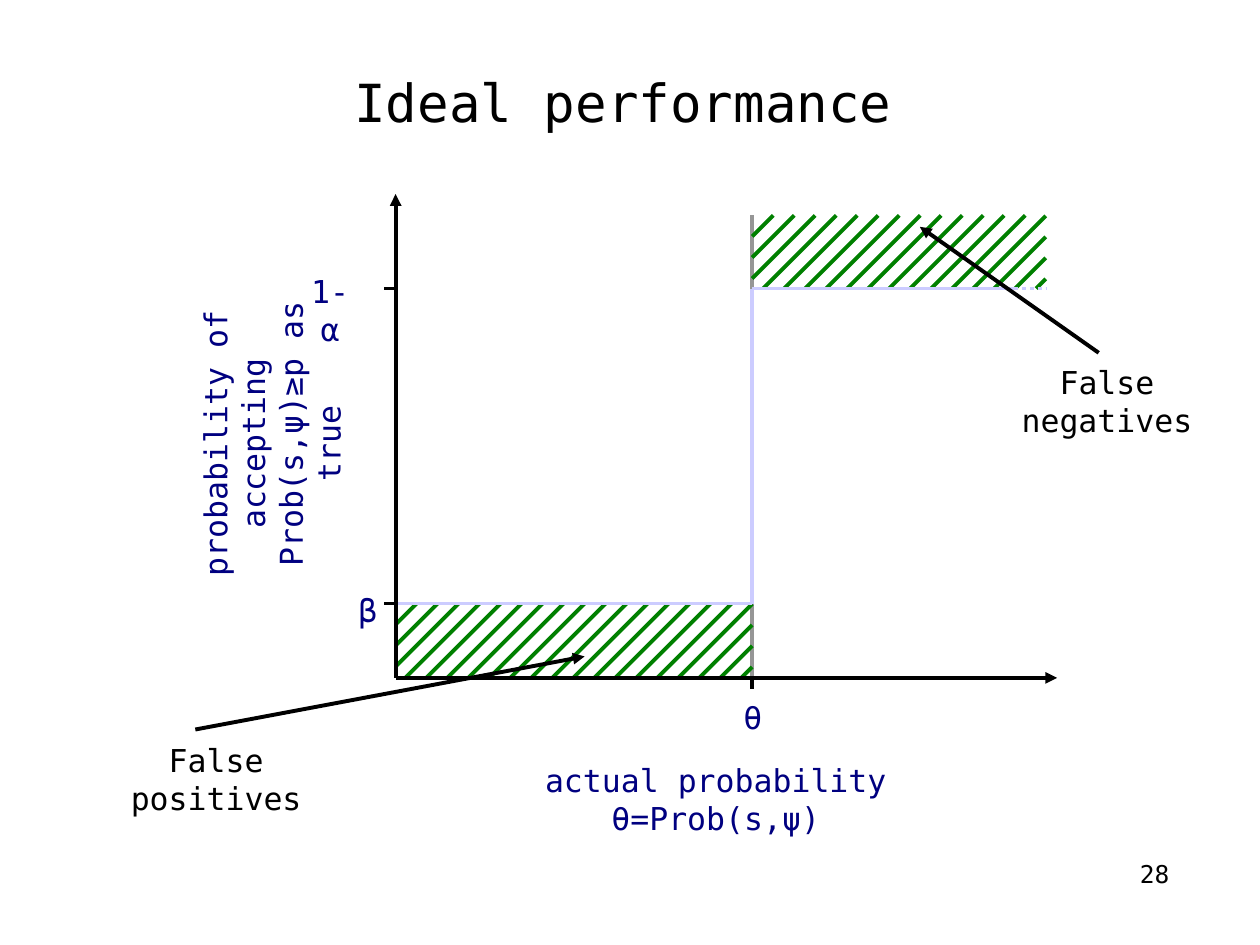
from lxml.etree import SubElement
from pptx import Presentation
from pptx.dml.color import RGBColor
from pptx.enum.dml import MSO_LINE
from pptx.enum.shapes import MSO_CONNECTOR
from pptx.enum.text import MSO_ANCHOR, PP_ALIGN
from pptx.oxml.ns import qn
from pptx.util import Inches, Pt

COLORS = {
    "ink": "000000",
    "label": "000080",
    "hatch": "008000",
    "step": "CCCCFF",
    "threshold": "969696",
}
FONT = "DejaVu Sans Mono"
HATCHES_PER_INCH = 6

ORIGIN_X, ORIGIN_Y = 3.14, 5.38
THETA_X = 5.97
BETA_Y, ALPHA_Y = 4.79, 2.29
TOP_Y, RIGHT_X = 1.71, 8.3
SOLID_END_X = 8.05
TICK = 0.09


class Diagram:
    """Draws styled text, lines and hatched areas on one slide."""

    def __init__(self, slide):
        self.slide = slide

    def text(self, wording, left, top, width, height, color="label", size=18,
             align=PP_ALIGN.CENTER, anchor=MSO_ANCHOR.TOP, padded=True,
             spacing=None, rotation=0):
        box = self.slide.shapes.add_textbox(
            Inches(left), Inches(top), Inches(width), Inches(height))
        box.rotation = rotation
        frame = box.text_frame
        frame.word_wrap = True
        frame.vertical_anchor = anchor
        frame.margin_left = frame.margin_right = Inches(0.1 if padded else 0)
        frame.margin_top = frame.margin_bottom = Inches(0.05 if padded else 0)
        frame.text = wording
        paragraph = frame.paragraphs[0]
        paragraph.alignment = align
        if spacing:
            paragraph.line_spacing = spacing
        for run in paragraph.runs:
            run.font.name = FONT
            run.font.size = Pt(size)
            run.font.color.rgb = RGBColor.from_string(COLORS[color])

    def line(self, x1, y1, x2, y2, color="ink", dash=None, arrow=False):
        connector = self.slide.shapes.add_connector(
            MSO_CONNECTOR.STRAIGHT,
            Inches(x1), Inches(y1), Inches(x2), Inches(y2))
        connector.line.width = Pt(2.25)
        connector.line.color.rgb = RGBColor.from_string(COLORS[color])
        if dash:
            connector.line.dash_style = dash
        if arrow:
            SubElement(connector.line._get_or_add_ln(), qn("a:tailEnd"),
                       type="triangle")
        SubElement(connector._element.spPr, qn("a:effectLst"))

    def hatch(self, left, top, right, bottom):
        count = int((right - left + bottom - top) * HATCHES_PER_INCH)
        for index in range(1, count + 1):
            diagonal = left + top + index / HATCHES_PER_INCH
            upper_x = min(right, diagonal - top)
            lower_x = max(left, diagonal - bottom)
            self.line(upper_x, diagonal - upper_x,
                      lower_x, diagonal - lower_x, "hatch")


def main():
    presentation = Presentation()
    presentation.slide_width = Inches(10)
    presentation.slide_height = Inches(7.5)
    diagram = Diagram(
        presentation.slides.add_slide(presentation.slide_layouts[6]))

    diagram.text("Ideal performance", 0.68, 0.37, 8.53, 0.86, "ink", 30,
                 anchor=MSO_ANCHOR.MIDDLE, padded=False, spacing=1.04)

    diagram.line(THETA_X, ORIGIN_Y, THETA_X, TOP_Y, "threshold")
    diagram.hatch(THETA_X, TOP_Y, RIGHT_X, ALPHA_Y)
    diagram.hatch(ORIGIN_X, BETA_Y, THETA_X, ORIGIN_Y)

    diagram.line(ORIGIN_X, BETA_Y, THETA_X, BETA_Y, "step")
    diagram.line(THETA_X, BETA_Y, THETA_X, ALPHA_Y, "step")
    diagram.line(THETA_X, ALPHA_Y, SOLID_END_X, ALPHA_Y, "step")
    diagram.line(SOLID_END_X, ALPHA_Y, RIGHT_X, ALPHA_Y, "step",
                 dash=MSO_LINE.ROUND_DOT)

    diagram.line(ORIGIN_X, ORIGIN_Y, 8.39, ORIGIN_Y, arrow=True)
    diagram.line(ORIGIN_X, ORIGIN_Y, ORIGIN_X, 1.54, arrow=True)
    diagram.text("actual probability θ=Prob(s,ψ)", 3.84, 5.99, 3.68, 0.4)
    diagram.text("probability of accepting\v Prob(s,ψ)≥p as true",
                 0.37, 3.17, 2.97, 0.7, rotation=270)

    diagram.text("θ", 5.8, 5.49, 0.35, 0.4)
    diagram.text("1-α", 2.33, 2.11, 0.58, 0.4)
    diagram.text("β", 2.74, 4.64, 0.36, 0.4)
    diagram.line(THETA_X, ORIGIN_Y, THETA_X, ORIGIN_Y + TICK)
    for tick_y in (ALPHA_Y, BETA_Y):
        diagram.line(ORIGIN_X - TICK, tick_y, ORIGIN_X, tick_y)

    diagram.text("False negatives", 7.79, 2.83, 1.99, 0.4, "ink")
    diagram.line(8.72, 2.8, 7.3, 1.8, arrow=True)
    diagram.text("False positives", 0.77, 5.83, 1.89, 0.4, "ink")
    diagram.line(1.55, 5.79, 4.64, 5.21, arrow=True)

    diagram.text("28", 7.67, 6.83, 1.61, 0.52, "ink", 14,
                 align=PP_ALIGN.RIGHT, padded=False, spacing=0.96)

    presentation.save("out.pptx")


if __name__ == "__main__":
    main()
